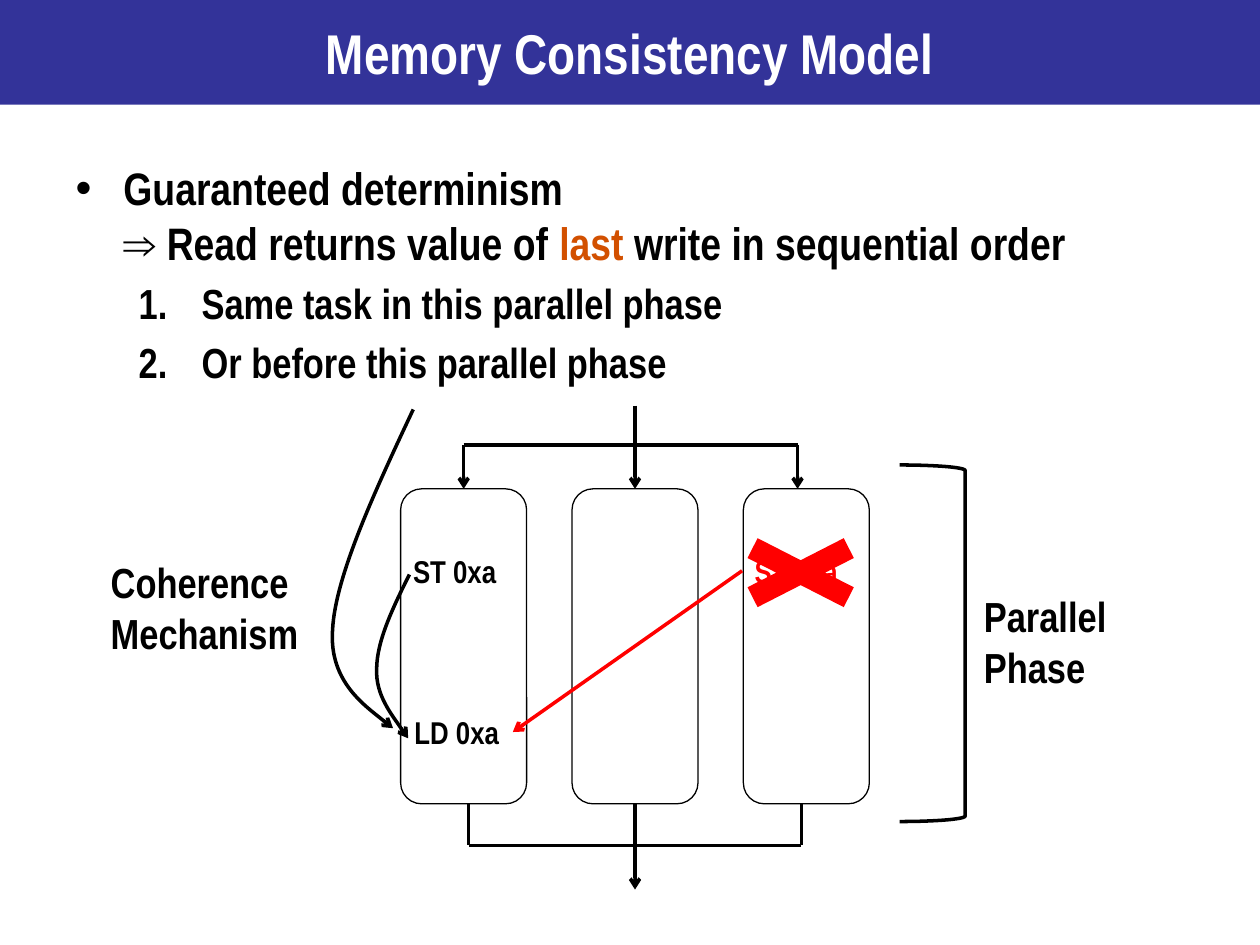
from pptx import Presentation
from pptx.dml.color import RGBColor
from pptx.enum.shapes import MSO_CONNECTOR, MSO_SHAPE
from pptx.enum.text import MSO_ANCHOR, MSO_AUTO_SIZE, PP_ALIGN
from pptx.oxml.ns import qn
from pptx.util import Inches, Pt
from lxml import etree

STRAIGHT = MSO_CONNECTOR.STRAIGHT
ROUNDED, BRACKET, CROSS = (MSO_SHAPE.ROUNDED_RECTANGLE, MSO_SHAPE.LEFT_BRACKET,
                           MSO_SHAPE.MATH_MULTIPLY)
MIDDLE, TOP = MSO_ANCHOR.MIDDLE, MSO_ANCHOR.TOP
CENTER, LEFT = PP_ALIGN.CENTER, PP_ALIGN.LEFT
FIT_SHAPE, NO_FIT = MSO_AUTO_SIZE.SHAPE_TO_FIT_TEXT, MSO_AUTO_SIZE.NONE
TOP_SITE, BOTTOM_SITE = 0, 2

THEME = {
    "font": "Arial Narrow",
    "black": "000000", "white": "FFFFFF", "banner": "333399",
    "accent": "D25000", "wrong": "FF0000",
    "title": 32, "body": 26, "item": 24, "label": 24, "code": 18,
    "outline": 0.75, "line": 2,
}

TITLE = "Memory Consistency Model"
# Each paragraph: type size, left margin, hanging indent, bullet, lines of (text, colour)
BODY = [
    ("body", 0.38, 0.38, ("buChar", {"char": "•"}, "Arial"),
     [[("Guaranteed determinism", "black")],
      [("⇒ Read returns value of ", "black"), ("last ", "accent"),
       ("write in sequential order", "black")]]),
] + [
    ("item", 1, 0.5, ("buAutoNum", {"type": "arabicPeriod"}, THEME["font"]),
     [[(text, "black")]])
    for text in ("Same task in this parallel phase", "Or before this parallel phase")
]
# Each label: paragraphs, left, top, width, height, size, colour
LABELS = [
    (["LD 0xa"], 3.19, 5.61, 0.88, 0.4, "code", "black"),
    (["ST 0xa"], 3.18, 4.33, 0.87, 0.4, "code", "black"),
    (["ST 0xa"], 5.89, 4.33, 0.87, 0.4, "code", "wrong"),
    (["Parallel", "Phase"], 7.71, 4.64, 1.19, 0.91, "label", "black"),
    (["Coherence", "Mechanism"], 0.78, 4.37, 1.71, 0.91, "label", "black"),
]
# Start point, then three points for each cubic curve
CURVES = [
    [(3.25, 4.56), (3.12, 4.82), (2.99, 5.09), (2.99, 5.31),
     (2.98, 5.52), (3.24, 5.86), (3.24, 5.86)],
    [(3.28, 3.25), (2.97, 3.91), (2.66, 4.58), (2.64, 5),
     (2.61, 5.42), (3.12, 5.78), (3.12, 5.78)],
]
TASK_LEFT, TASK_TOP, TASK_WIDTH, TASK_HEIGHT, TASK_STEP = 3.18, 3.88, 1, 2.5, 1.36
TASK_BOTTOM = TASK_TOP + TASK_HEIGHT
FORK_X, FORK_Y, FORK_START = (3.68, 5.04, 6.33), 3.53, 3.22
MERGE_X, MERGE_Y, MERGE_END = (3.72, 5.04, 6.36), 6.71, 7.06


def color(name):
    return RGBColor.from_string(THEME[name])


def box(*lengths):
    return [Inches(length) for length in lengths]


def set_format(target, values):
    for name, value in values.items():
        setattr(target, name, value)


def add_run(paragraph, text, size, color_name):
    run = paragraph.add_run()
    run.text = text
    set_format(run.font, {"name": THEME["font"], "size": Pt(THEME[size]), "bold": True})
    run.font.color.rgb = color(color_name)


def set_line(shape, color_name="black", width="line", arrow=False):
    shape.line.color.rgb = color(color_name)
    shape.line.width = Pt(THEME[width])
    if arrow:
        outline = shape.element.spPr.find(qn("a:ln"))
        etree.SubElement(outline, qn("a:tailEnd"), type="arrow")


def add_line(shapes, start, end, color_name="black", arrow=False):
    line = shapes.add_connector(STRAIGHT, *box(*start, *end))
    set_line(line, color_name, arrow=arrow)
    etree.SubElement(line.element.spPr, qn("a:effectLst"))
    return line


def add_shape(shapes, kind, *place):
    shape = shapes.add_shape(kind, *box(*place))
    shape.shadow.inherit = False
    shape.fill.background()
    return shape


def add_curve(shapes, points):
    """Draw an arrow whose line segments are regrouped into cubic curves."""
    start, *rest = [box(*point) for point in points]
    builder = shapes.build_freeform(*start)
    builder.add_line_segments(rest, close=False)
    curve = builder.convert_to_shape()
    curve.shadow.inherit = False
    curve.fill.background()
    set_line(curve, arrow=True)
    segments = list(curve.element.iter(qn("a:lnTo")))
    outline = segments[0].getparent()
    for first in range(0, len(segments), 3):
        cubic = etree.SubElement(outline, qn("a:cubicBezTo"))
        for segment in segments[first:first + 3]:
            cubic.append(segment[0])
            outline.remove(segment)


def add_label(shapes, texts, left, top, width, height, size, color_name):
    frame = shapes.add_textbox(*box(left, top, width, height)).text_frame
    set_format(frame, {"word_wrap": False, "auto_size": FIT_SHAPE})
    for index, text in enumerate(texts):
        paragraph = frame.add_paragraph() if index else frame.paragraphs[0]
        add_run(paragraph, text, size, color_name)


def place(shape, left, top, width, height):
    names = ("left", "top", "width", "height")
    set_format(shape, dict(zip(names, box(left, top, width, height))))


def fill_title(title):
    place(title, 0, 0, 10, 0.83)
    title.fill.solid()
    title.fill.fore_color.rgb = color("banner")
    set_format(title.text_frame, {"vertical_anchor": MIDDLE, "auto_size": NO_FIT})
    paragraph = title.text_frame.paragraphs[0]
    paragraph.alignment = CENTER
    add_run(paragraph, TITLE, "title", "white")


def fill_body(body):
    place(body, 0.5, 1.22, 9, 3.31)
    frame = body.text_frame
    set_format(frame, {"vertical_anchor": TOP, "auto_size": NO_FIT, "word_wrap": True})
    for index, (size, margin, hanging, bullet, lines) in enumerate(BODY):
        paragraph = frame.add_paragraph() if index else frame.paragraphs[0]
        set_format(paragraph, {
            "level": 1 if index else 0, "alignment": LEFT,
            "space_before": Pt(0.2 * THEME[size] if index else 0)})
        properties = paragraph._p.get_or_add_pPr()
        properties.set("marL", str(Inches(margin)))
        properties.set("indent", str(-Inches(hanging)))
        tag, attributes, typeface = bullet
        etree.SubElement(properties, qn("a:buFont"), typeface=typeface)
        etree.SubElement(properties, qn("a:" + tag), attributes)
        for number, line in enumerate(lines):
            if number:
                paragraph.add_line_break()
            for text, color_name in line:
                add_run(paragraph, text, size, color_name)


def add_tasks(shapes):
    """Draw the parallel tasks with the fork above and the merge below."""
    for index, (fork_x, merge_x) in enumerate(zip(FORK_X, MERGE_X)):
        left = TASK_LEFT + index * TASK_STEP
        center = round(left + TASK_WIDTH / 2, 2)
        task = add_shape(shapes, ROUNDED, left, TASK_TOP, TASK_WIDTH, TASK_HEIGHT)
        set_line(task, width="outline")
        fork = add_line(shapes, (fork_x, FORK_Y), (fork_x, TASK_TOP), arrow=True)
        if fork_x == center:
            fork.end_connect(task, TOP_SITE)
        merge = add_line(shapes, (merge_x, TASK_BOTTOM), (merge_x, MERGE_Y))
        if merge_x == center:
            merge.begin_connect(task, BOTTOM_SITE)
    for xs, y in ((FORK_X, FORK_Y), (MERGE_X, MERGE_Y)):
        add_line(shapes, (xs[0], y), (xs[-1], y))
    add_line(shapes, (FORK_X[1], FORK_START), (FORK_X[1], FORK_Y))
    add_line(shapes, (MERGE_X[1], MERGE_Y), (MERGE_X[1], MERGE_END), arrow=True)


def main():
    presentation = Presentation()
    presentation.slide_width, presentation.slide_height = box(10, 7.5)
    slide = presentation.slides.add_slide(presentation.slide_layouts[1])
    shapes = slide.shapes
    fill_title(shapes.title)
    fill_body(slide.placeholders[1])
    add_tasks(shapes)
    for label in LABELS:
        add_label(shapes, *label)
    for points in CURVES:
        add_curve(shapes, points)
    bracket = add_shape(shapes, BRACKET, 7.14, 3.69, 0.52, 2.83)
    bracket.rotation = 180
    set_line(bracket)
    add_line(shapes, (5.89, 4.53), (4.07, 5.81), "wrong", arrow=True)
    cross = add_shape(shapes, CROSS, 5.62, 4.17, 1.47, 0.75)
    cross.fill.solid()
    cross.fill.fore_color.rgb = color("wrong")
    cross.line.fill.background()
    presentation.save("out.pptx")


if __name__ == "__main__":
    main()
